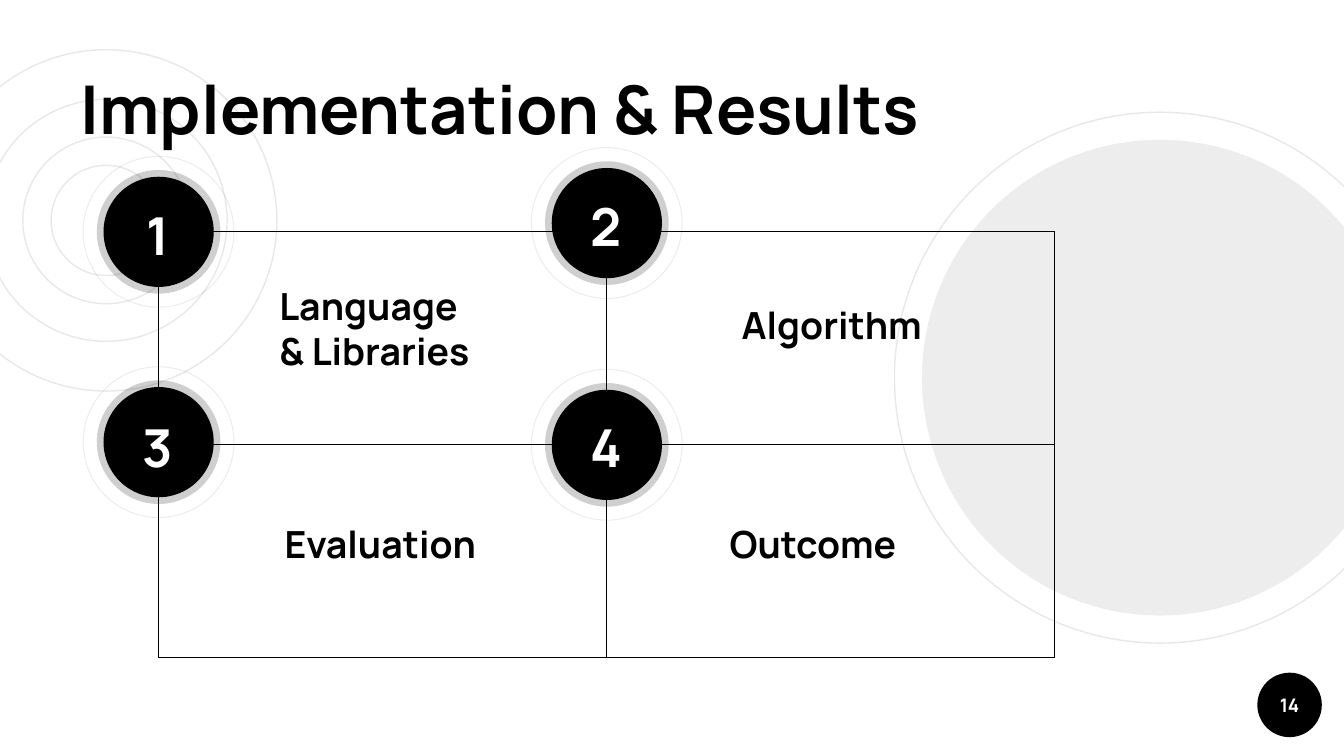
from dataclasses import dataclass

from lxml import etree
from pptx import Presentation
from pptx.dml.color import RGBColor
from pptx.enum.shapes import MSO_SHAPE
from pptx.enum.text import MSO_ANCHOR, MSO_AUTO_SIZE, PP_ALIGN
from pptx.oxml.ns import qn
from pptx.util import Pt

PX = 4572  # EMU in one px, 200 px to the inch
OVAL, DONUT = MSO_SHAPE.OVAL, MSO_SHAPE.DONUT
LEFT, CENTER = PP_ALIGN.LEFT, PP_ALIGN.CENTER
TOP, MIDDLE, BOTTOM = MSO_ANCHOR.TOP, MSO_ANCHOR.MIDDLE, MSO_ANCHOR.BOTTOM


@dataclass(frozen=True)
class Theme:
    font: str = "Manrope"
    ink: str = "000000"
    paper: str = "FFFFFF"
    ring: str = "E8E8E8"
    title_size: int = 36
    number_size: int = 28
    label_size: int = 20
    page_size: int = 10
    line_width: float = 0.75
    tint: int = 7
    halo: int = 19


THEME = Theme()


def emu(*lengths):
    return [length * PX for length in lengths]


def square(center_x, center_y, size):
    return center_x - size // 2, center_y - size // 2, size, size


def add_circle(shapes, box, fill=None, opacity=100, line=None, preset=OVAL):
    circle = shapes.add_shape(preset, *emu(*box))
    circle.shadow.inherit = False
    if fill:
        circle.fill.solid()
        circle.fill.fore_color.rgb = RGBColor.from_string(fill)
        if opacity < 100:
            color = circle.fill._xPr.find(".//" + qn("a:srgbClr"))
            etree.SubElement(color, qn("a:alpha"), val=str(opacity * 1000))
    else:
        circle.fill.background()
    if line:
        circle.line.color.rgb = RGBColor.from_string(line)
        circle.line.width = Pt(THEME.line_width)
    else:
        circle.line.fill.background()
    return circle


def write_text(shape, text, size, color=THEME.ink, align=LEFT, anchor=TOP,
               indent=0, spacing=1.0):
    frame = shape.text_frame
    frame.word_wrap = True
    frame.auto_size = MSO_AUTO_SIZE.NONE
    frame.vertical_anchor = anchor
    frame.margin_left = frame.margin_right = 20 * PX
    frame.margin_top = frame.margin_bottom = 20 * PX
    paragraph = frame.paragraphs[0]
    paragraph.text = text
    paragraph.alignment = align
    paragraph.line_spacing = spacing
    if indent:
        properties = paragraph._p.get_or_add_pPr()
        properties.set("marL", str(indent * PX))
        properties.set("indent", "0")
    font = paragraph.runs[0].font
    font.name, font.size, font.bold = THEME.font, Pt(size), True
    font.color.rgb = RGBColor.from_string(color)


def add_text(slide, box, text, size, **text_format):
    write_text(slide.shapes.add_textbox(*emu(*box)), text, size, **text_format)


def add_rings(slide, center, sizes):
    group = slide.shapes.add_group_shape()
    for size in sizes:
        add_circle(group.shapes, square(*center, size), line=THEME.ring)


def add_disc(slide, center, size, ring_size):
    add_circle(slide.shapes, square(*center, ring_size), line=THEME.ring)
    add_circle(slide.shapes, square(*center, size), THEME.ink, THEME.tint)


def add_title(slide, box, text):
    """Fill the title placeholder and bring it in front of the backdrop."""
    title = slide.shapes.title
    title.left, title.top, title.width, title.height = emu(*box)
    write_text(title, text, THEME.title_size, anchor=BOTTOM, spacing=0.9)
    title.element.getparent().append(title.element)


def add_page_number(slide, box, text):
    add_circle(slide.shapes, box, THEME.ink)
    add_text(slide, box, text, THEME.page_size, color=THEME.paper,
             align=CENTER, anchor=MIDDLE)


def set_cell_borders(cell):
    properties = cell._tc.get_or_add_tcPr()
    for side in ("lnL", "lnR", "lnT", "lnB"):
        line = etree.SubElement(properties, qn("a:" + side), w=str(Pt(THEME.line_width)))
        fill = etree.SubElement(line, qn("a:solidFill"))
        etree.SubElement(fill, qn("a:srgbClr"), val=THEME.ink)


def add_grid(slide, box, rows, columns):
    table = slide.shapes.add_table(rows, columns, *emu(*box)).table
    table.first_row = table.horz_banding = False
    for cell in table.iter_cells():
        set_cell_borders(cell)
        cell.fill.background()


def add_badge(slide, center):
    """Black disc with a soft halo and a thin outer ring."""
    group = slide.shapes.add_group_shape()
    add_circle(group.shapes, square(*center, 184), THEME.ink, THEME.halo)
    add_circle(group.shapes, square(*center, 164), THEME.ink)
    ring = add_circle(group.shapes, square(*center, 226), THEME.ink, THEME.tint,
                      preset=DONUT)
    ring.adjustments[0] = 0.007


def add_topics(slide, box):
    """Two by two grid, with a numbered badge and a label for each cell."""
    left, top, _, _ = box
    add_grid(slide, box, 2, 2)
    # number, badge centre, number centre and size, label box, alignment, label;
    # all positions are offsets from the corner of the grid
    topics = [
        ("1", (0, 0), (-1, 4, 190), (132, 57, 368, 184), LEFT, "Language & Libraries"),
        ("2", (667, -13), (666, -9, 304), (820, 85, 368, 126), LEFT, "Algorithm"),
        ("3", (0, 313), (-2, 319, 184), (132, 411, 368, 126), CENTER, "Evaluation"),
        ("4", (667, 317), (666, 319, 304), (802, 411, 368, 126), LEFT, "Outcome"),
    ]
    for _, (x, y), *_ in topics:
        add_badge(slide, (left + x, top + y))
    for number, _, (x, y, size), *_ in topics:
        add_text(slide, square(left + x, top + y, size), number, THEME.number_size,
                 color=THEME.paper, align=CENTER, anchor=MIDDLE)
    for *_, (x, y, width, height), align, label in topics:
        add_text(slide, (left + x, top + y, width, height), label,
                 THEME.label_size, align=align, indent=28)


def main():
    presentation = Presentation()
    presentation.slide_width, presentation.slide_height = emu(2000, 1125)
    slide = presentation.slides.add_slide(presentation.slide_layouts[5])
    slide.background.fill.solid()
    slide.background.fill.fore_color.rgb = RGBColor.from_string(THEME.paper)
    add_rings(slide, (158, 328), (508, 360, 248, 164))
    add_disc(slide, (1726, 562), 708, 790)
    add_title(slide, (100, 92, 1404, 150), "Implementation & Results")
    add_page_number(slide, (1871, 1001, 96, 96), "14")
    add_topics(slide, (236, 345, 1333, 634))
    presentation.save("out.pptx")


if __name__ == "__main__":
    main()
